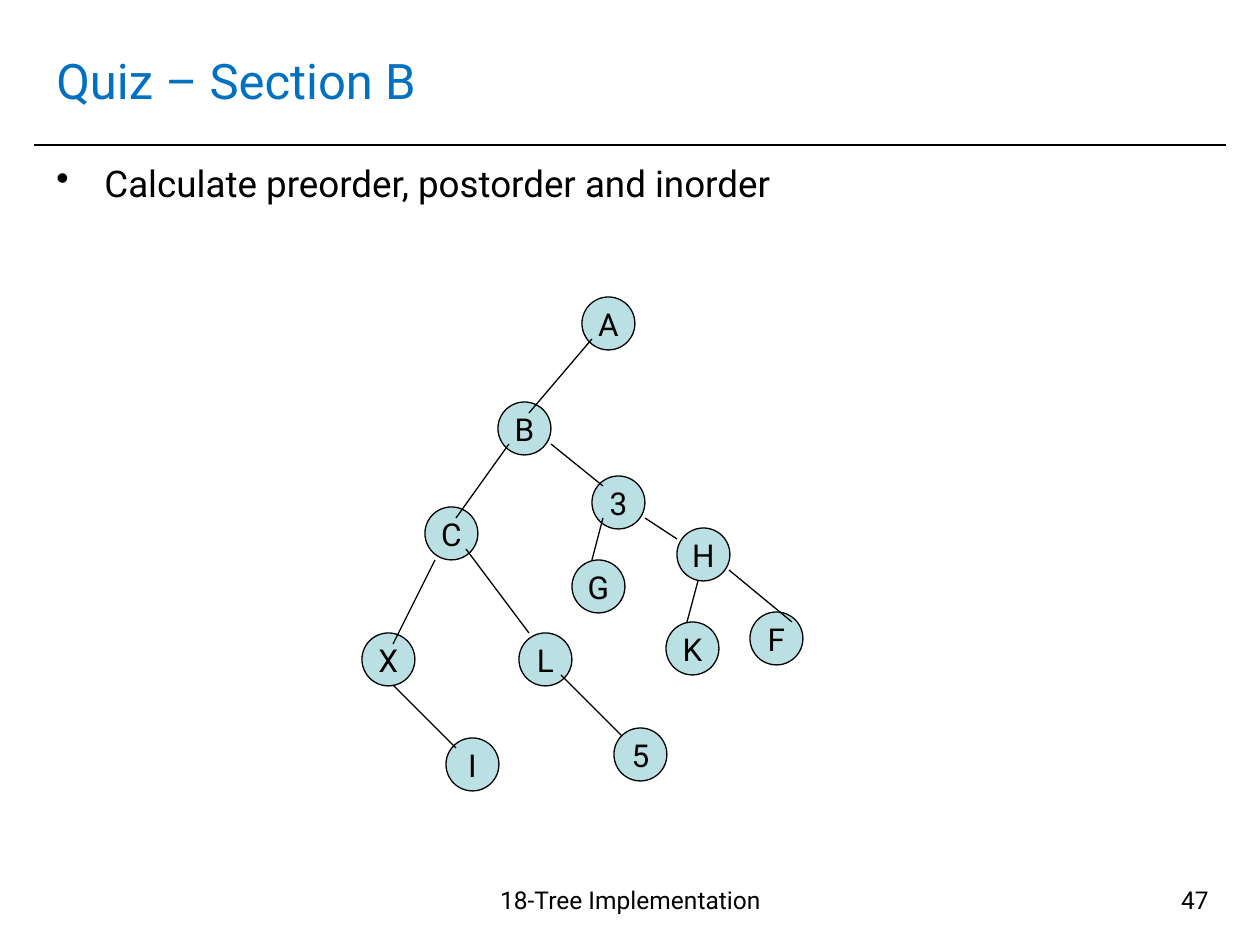
from dataclasses import dataclass
from typing import NamedTuple

from lxml.etree import SubElement
from pptx import Presentation
from pptx.dml.color import RGBColor
from pptx.enum.shapes import MSO_CONNECTOR, MSO_SHAPE
from pptx.enum.text import MSO_ANCHOR, PP_ALIGN
from pptx.oxml.ns import qn
from pptx.slide import Slide
from pptx.text.text import _Paragraph as Paragraph
from pptx.util import Emu, Pt

EMU_PER_PIXEL = 914400 / 126
NODE_SIZE = 53
BULLET_INDENT = 48


@dataclass(frozen=True)
class Theme:
    font: str = "Roboto"
    title_color: RGBColor = RGBColor(0x00, 0x70, 0xC0)
    ink: RGBColor = RGBColor(0x00, 0x00, 0x00)
    node_fill: RGBColor = RGBColor(0xBB, 0xE0, 0xE3)
    title_size: int = 28
    body_size: int = 21
    node_size: int = 18
    footer_size: int = 14
    rule_width: float = 1
    outline_width: float = 0.75


class Label(NamedTuple):
    text: str
    left: int
    top: int
    width: int
    height: int
    size: int
    color: RGBColor
    align: PP_ALIGN = PP_ALIGN.LEFT
    anchor: MSO_ANCHOR = MSO_ANCHOR.TOP


class Node(NamedTuple):
    text: str
    left: int
    top: int


class Line(NamedTuple):
    start_x: int
    start_y: int
    end_x: int
    end_y: int


THEME = Theme()
TITLE = Label("Quiz – Section B", 44, 26, 1171, 107, THEME.title_size,
              THEME.title_color, anchor=MSO_ANCHOR.MIDDLE)
BODY = Label("Calculate preorder, postorder and inorder", 44, 155, 1171, 704,
             THEME.body_size, THEME.ink)
FOOTER = Label("18-Tree Implementation", 422, 879, 417, 66, THEME.footer_size,
               THEME.ink, PP_ALIGN.CENTER)
PAGE_NUMBER = Label("47", 927, 879, 294, 66, THEME.footer_size,
                    THEME.ink, PP_ALIGN.RIGHT)
TITLE_RULE = Line(34, 145, 1226, 145)
NODES = [
    Node("C", 425, 507), Node("B", 498, 402), Node("A", 582, 297),
    Node("F", 750, 612), Node("H", 677, 528), Node("3", 592, 476),
    Node("K", 666, 622), Node("G", 572, 560), Node("X", 362, 633),
    Node("I", 446, 738), Node("L", 519, 633),
]
FRONT_NODE = Node("5", 614, 728)
EDGES = [
    Line(592, 339, 529, 413), Line(509, 444, 456, 518), Line(435, 560, 393, 644),
    Line(393, 685, 456, 748), Line(466, 549, 529, 633), Line(561, 675, 624, 738),
    Line(551, 444, 603, 486), Line(698, 581, 687, 622), Line(729, 570, 792, 622),
    Line(645, 518, 677, 539), Line(603, 518, 592, 560),
]


def px(length: int) -> Emu:
    """Turn pixels into EMU."""
    return Emu(round(length * EMU_PER_PIXEL))


def style_paragraph(paragraph: Paragraph, size: int, color: RGBColor, align: PP_ALIGN) -> None:
    """Set the font and alignment of a paragraph."""
    paragraph.alignment = align
    paragraph.font.name = THEME.font
    paragraph.font.size = Pt(size)
    paragraph.font.color.rgb = color


def add_label(slide: Slide, label: Label) -> Paragraph:
    """Add a wrapped text box and return its paragraph."""
    box = slide.shapes.add_textbox(px(label.left), px(label.top), px(label.width), px(label.height))
    frame = box.text_frame
    frame.word_wrap = True
    frame.vertical_anchor = label.anchor
    paragraph = frame.paragraphs[0]
    paragraph.text = label.text
    style_paragraph(paragraph, label.size, label.color, label.align)
    return paragraph


def add_bullet(paragraph: Paragraph) -> None:
    """Give a paragraph a hanging bullet."""
    paragraph.space_before = Pt(4)
    properties = paragraph._p.get_or_add_pPr()
    properties.set("marL", str(px(BULLET_INDENT)))
    properties.set("indent", str(-px(BULLET_INDENT)))
    bullet = SubElement(properties, qn("a:buChar"), char="•")
    properties.remove(bullet)
    properties.insert_element_before(bullet, "a:tabLst", "a:defRPr", "a:extLst")


def add_line(slide: Slide, line: Line, width: float) -> None:
    """Add a straight line without a shadow."""
    connector = slide.shapes.add_connector(MSO_CONNECTOR.STRAIGHT, *map(px, line))
    connector.line.color.rgb = THEME.ink
    connector.line.width = Pt(width)
    SubElement(connector._element.spPr, qn("a:effectLst"))


def add_node(slide: Slide, node: Node) -> None:
    """Add a round tree node with its letter."""
    shape = slide.shapes.add_shape(
        MSO_SHAPE.OVAL, px(node.left), px(node.top), px(NODE_SIZE), px(NODE_SIZE))
    shape.shadow.inherit = False
    shape.fill.solid()
    shape.fill.fore_color.rgb = THEME.node_fill
    shape.line.color.rgb = THEME.ink
    shape.line.width = Pt(THEME.outline_width)
    frame = shape.text_frame
    frame.word_wrap = False
    frame.vertical_anchor = MSO_ANCHOR.MIDDLE
    paragraph = frame.paragraphs[0]
    paragraph.text = node.text
    style_paragraph(paragraph, THEME.node_size, THEME.ink, PP_ALIGN.CENTER)


def main() -> None:
    """Build the quiz slide and save it."""
    presentation = Presentation()
    presentation.slide_width = px(1260)
    presentation.slide_height = px(945)
    slide = presentation.slides.add_slide(presentation.slide_layouts[6])
    add_line(slide, TITLE_RULE, THEME.rule_width)
    add_label(slide, TITLE)
    add_bullet(add_label(slide, BODY))
    for label in (FOOTER, PAGE_NUMBER):
        add_label(slide, label)
    for node in NODES:
        add_node(slide, node)
    for edge in EDGES:
        add_line(slide, edge, THEME.outline_width)
    add_node(slide, FRONT_NODE)
    presentation.save("out.pptx")


if __name__ == "__main__":
    main()
